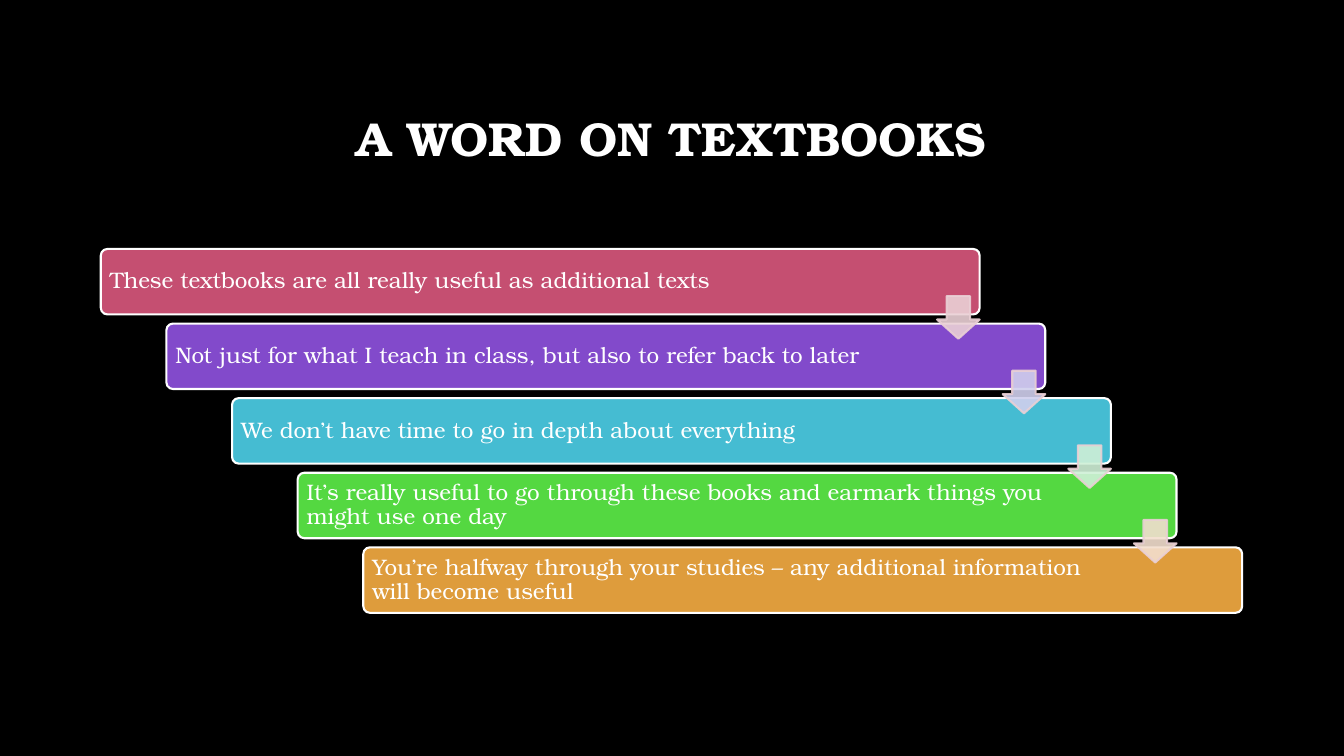
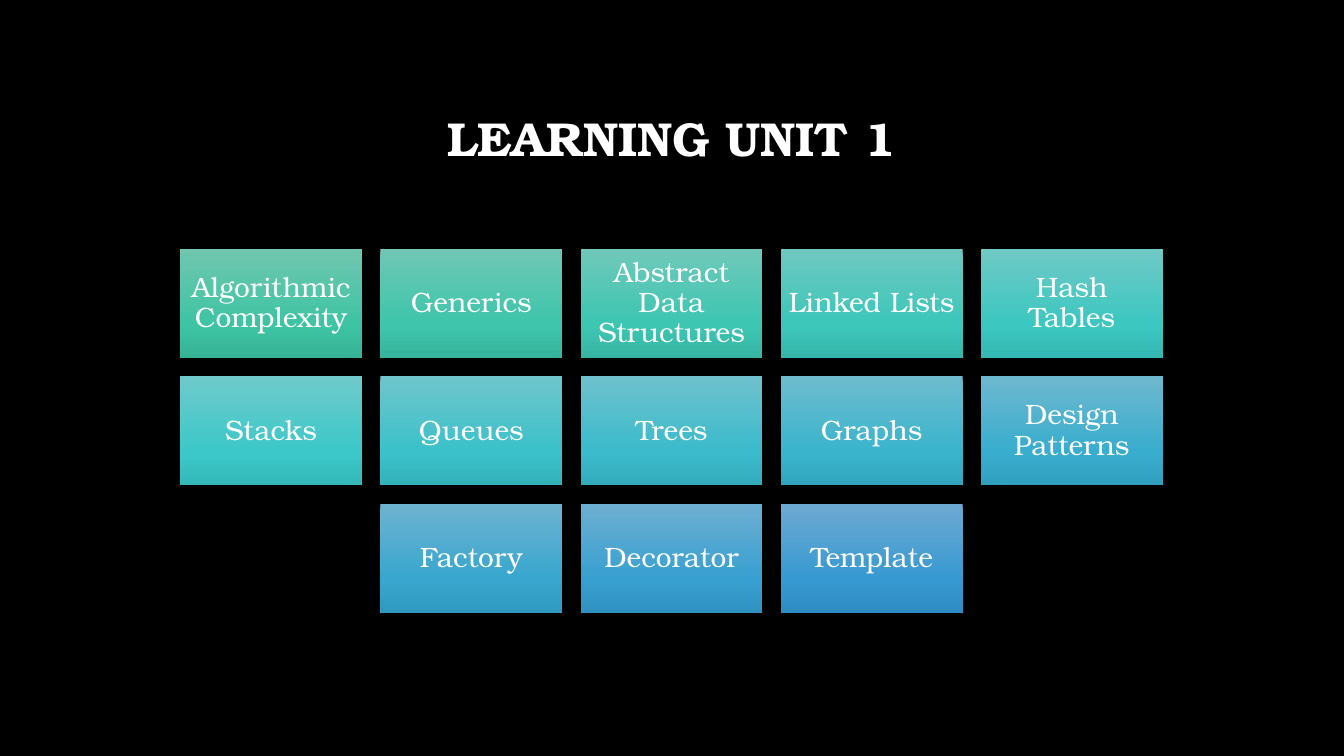
from copy import deepcopy
from collections import namedtuple

from lxml import etree
from pptx import Presentation
from pptx import util as u
from pptx.dml.color import RGBColor
from pptx.enum import shapes, text
from pptx.oxml.ns import qn

W, H = 13.33, 7.5
FONT = "TeX Gyre Bonum"
BLACK = RGBColor(0x00, 0x00, 0x00)
WHITE = RGBColor(0xFF, 0xFF, 0xFF)
ROSE = RGBColor(0xC5, 0x4F, 0x71)
PURPLE = RGBColor(0x82, 0x4A, 0xCB)
CYAN = RGBColor(0x45, 0xBC, 0xD2)
GREEN = RGBColor(0x54, 0xD8, 0x41)
ORANGE = RGBColor(0xDE, 0x9C, 0x3C)
PALE_ROSE = RGBColor(0xEA, 0xD0, 0xD5)
PALE_PURPLE = RGBColor(0xD0, 0xCF, 0xED)
PALE_GREEN = RGBColor(0xCF, 0xF0, 0xD7)
PALE_ORANGE = RGBColor(0xF2, 0xDE, 0xCE)

JADE = [RGBColor(0x70, 0xC6, 0xAF), RGBColor(0x3E, 0xC4, 0xA3), RGBColor(0x37, 0xB3, 0x95)]
TEAL = [RGBColor(0x6F, 0xCA, 0xCB), RGBColor(0x3C, 0xC8, 0xC9), RGBColor(0x34, 0xB8, 0xB9)]
BLUE = [RGBColor(0x6D, 0xAA, 0xD2), RGBColor(0x37, 0x99, 0xD2), RGBColor(0x2F, 0x8C, 0xC2)]
STOPS = (0, 0.69, 1)

Box = namedtuple("Box", "x y w h")
TITLE = Box(1, 0.67, 11.32, 1.45)
BODY = Box(1, 2.47, 11.32, 3.61)

STEPS = [
    ("These textbooks are all really useful as additional texts", ROSE),
    ("Not just for what I teach in class, but also to refer back to later", PURPLE),
    ("We don’t have time to go in depth about everything", CYAN),
    ("It’s really useful to go through these books and earmark things you might use one day", GREEN),
    ("You’re halfway through your studies – any additional information will become useful", ORANGE),
]
ARROWS = [PALE_ROSE, PALE_PURPLE, PALE_GREEN, PALE_ORANGE]
TOPICS = [
    "Algorithmic Complexity", "Generics", "Abstract Data Structures", "Linked Lists",
    "Hash Tables", "Stacks", "Queues", "Trees", "Graphs", "Design Patterns",
    "Factory", "Decorator", "Template",
]


def put(sp, box):
    for name, value in zip(("left", "top", "width", "height"), box):
        setattr(sp, name, u.Inches(value))


def write(sp, words, size, align, insets, bold=False):
    tf = sp.text_frame
    tf.text = words
    frame = {"word_wrap": True, "auto_size": text.MSO_AUTO_SIZE.NONE,
             "vertical_anchor": text.MSO_ANCHOR.MIDDLE}
    for side, value in zip(("left", "top", "right", "bottom"), insets):
        frame["margin_" + side] = u.Inches(value)
    p = tf.paragraphs[0]
    font = p.runs[0].font
    formats = (
        (tf, frame),
        (p, {"alignment": align, "line_spacing": 0.9}),
        (font, {"name": FONT, "size": u.Pt(size), "bold": bold}),
    )
    for target, values in formats:
        for name, value in values.items():
            setattr(target, name, value)
    font.color.rgb = WHITE


def add_shape(s, preset, box, fill=None, line=None, adjust=()):
    sp = s.shapes.add_shape(preset, *(u.Inches(v) for v in box))
    sp.shadow.inherit = False
    for i, value in enumerate(adjust):
        sp.adjustments[i] = value
    if fill is not None:
        sp.fill.solid()
        sp.fill.fore_color.rgb = fill
    if line is None:
        sp.line.fill.background()
    else:
        sp.line.color.rgb = line
        sp.line.width = u.Pt(1.5)
    return sp


def set_alpha(sp, percent):
    for color in sp._element.spPr.iter(qn("a:srgbClr")):
        etree.SubElement(color, qn("a:alpha")).set("val", str(percent * 1000))


def set_gradient(sp, colors):
    sp.fill.gradient()
    sp.fill.gradient_angle = 270
    stop_list = sp._element.spPr.find(".//" + qn("a:gsLst"))
    while len(stop_list) < len(colors):
        stop_list.append(deepcopy(stop_list[-1]))
    for stop, position, color in zip(sp.fill.gradient_stops, STOPS, colors):
        stop.position = position
        stop.color.rgb = color


def blend(start, end, share):
    return RGBColor(*(round(a + (b - a) * share) for a, b in zip(start, end)))


def tile_colors(i, turn, last):
    if i <= turn:
        start, end, share = JADE, TEAL, i / turn
    else:
        start, end, share = TEAL, BLUE, (i - turn) / (last - turn)
    return [blend(a, b, share) for a, b in zip(start, end)]


def add_staircase(s, box, steps, arrows):
    w, h = box.w * 0.77, box.h * 0.18
    dx, dy = ((box.w - w) / (len(steps) - 1), (box.h - h) / (len(steps) - 1))
    bars = [Box(box.x + i * dx, box.y + i * dy, w, h) for i in range(len(steps))]
    for bar, (words, color) in zip(bars, steps):
        sp = add_shape(s, shapes.MSO_SHAPE.ROUNDED_RECTANGLE, bar, color, WHITE, (0.1,))
        write(sp, words, 16, text.PP_ALIGN.LEFT, (0.07, 0.07, 1.14, 0.07))
    side = h * 0.65
    for bar, color in zip(bars, arrows):
        spot = Box(bar.x + w - side, bar.y + h * 0.72, side, side)
        sp = add_shape(s, shapes.MSO_SHAPE.DOWN_ARROW, spot, color, PALE_ROSE)
        sp.adjustments[0], sp.adjustments[1] = 0.45, 0.55
        for i, value in enumerate((0.55, 0.45)):
            sp.adjustments[i] = value
        set_alpha(sp, 90)


def add_tiles(s, box, topics, cols=5):
    rows = -(-len(topics) // cols)
    h = box.h / (rows + (rows - 1) / 6)
    w = h / 0.6
    gap = h / 6
    for i, words in enumerate(topics):
        row, col = divmod(i, cols)
        count = min(cols, len(topics) - row * cols)
        x = box.x + (box.w - count * w - (count - 1) * gap) / 2
        spot = Box(x + col * (w + gap), box.y + row * (h + gap), w, h)
        sp = add_shape(s, shapes.MSO_SHAPE.RECTANGLE, spot)
        set_gradient(sp, tile_colors(i, cols, len(topics) - 1))
        write(sp, words, 20, text.PP_ALIGN.CENTER, (0.08,) * 4)


def add_slide(prs, title):
    s = prs.slides.add_slide(prs.slide_layouts[5])
    put(s.shapes.title, TITLE)
    write(s.shapes.title, title, 34, text.PP_ALIGN.CENTER, (0.1, 0.05, 0.1, 0.05), True)
    return s


def main():
    prs = Presentation()
    prs.slide_width, prs.slide_height = u.Inches(W), u.Inches(H)
    background = prs.slide_master.background.fill
    background.solid()
    background.fore_color.rgb = BLACK
    add_staircase(add_slide(prs, "A WORD ON TEXTBOOKS"), BODY, STEPS, ARROWS)
    add_tiles(add_slide(prs, "LEARNING UNIT 1"), BODY, TOPICS)
    prs.save("out.pptx")


if __name__ == "__main__":
    main()
